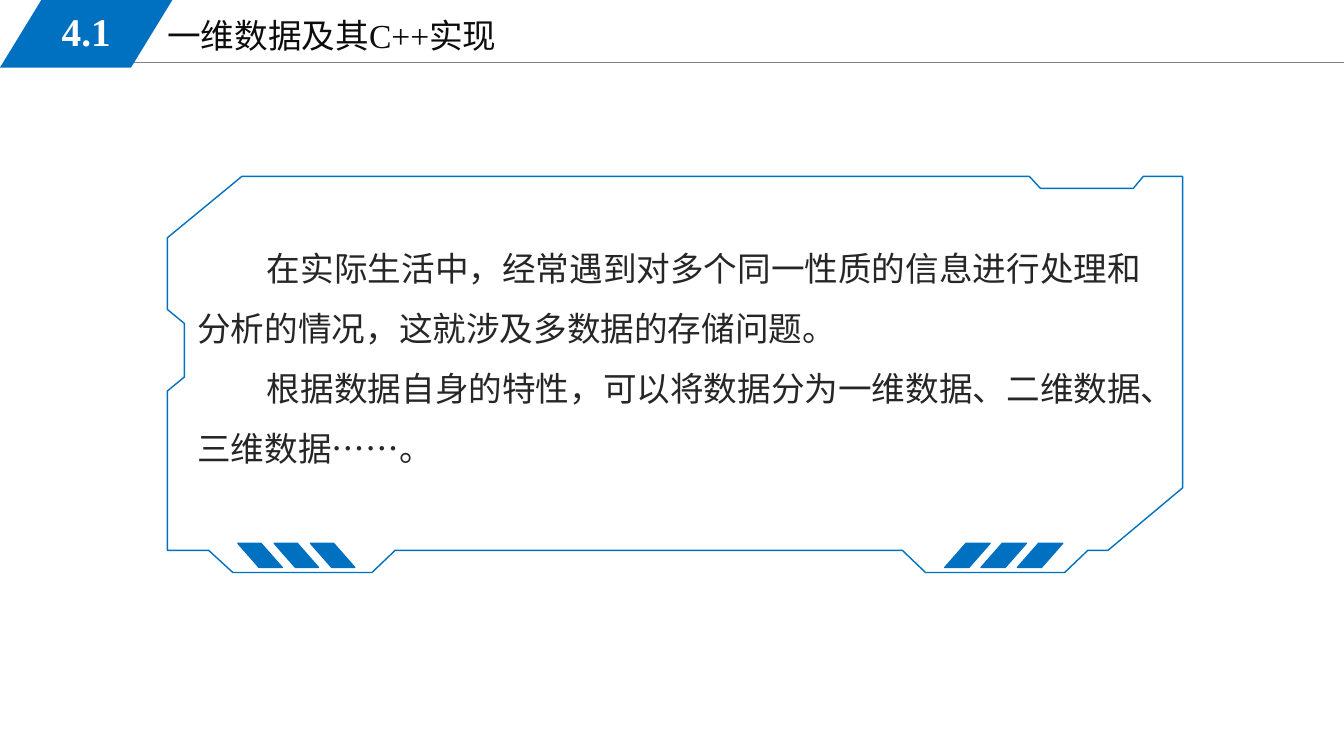
"""Build the section 4.1 slide on one-dimensional data and its C++ implementation."""
from lxml.etree import SubElement
from pptx import Presentation
from pptx.dml.color import RGBColor
from pptx.enum.shapes import MSO_CONNECTOR as CONNECTOR, MSO_SHAPE as SHAPE
from pptx.enum.text import MSO_ANCHOR as ANCHOR, MSO_AUTO_SIZE as AUTO_SIZE, PP_ALIGN as ALIGN
from pptx.oxml.ns import qn
from pptx.util import Inches, Pt

BLUE = RGBColor(0x00, 0x70, 0xC0)
GREY = RGBColor(0x80, 0x80, 0x80)
INK = RGBColor(0x0D, 0x0D, 0x0D)
BODY = RGBColor(0x26, 0x26, 0x26)
WHITE = RGBColor(0xFF, 0xFF, 0xFF)
SERIF = "Times New Roman"
SANS = "Noto Sans CJK SC"


def write(paragraph, text, size, face, color, bold=False):
    run = paragraph.add_run()
    run.text = text
    font = paragraph.font
    font.size, font.name, font.bold = Pt(size), face, bold
    font.color.rgb = color
    SubElement(run._r.get_or_add_rPr(), qn("a:ea"), typeface=SANS)


def add_slant(left, top, width, height, slant):
    shape = slide.shapes.add_shape(
        SHAPE.PARALLELOGRAM, Inches(left), Inches(top), Inches(width), Inches(height))
    shape.adjustments[0] = slant
    shape.shadow.inherit = False
    shape.fill.solid()
    shape.fill.fore_color.rgb = BLUE
    shape.line.fill.background()
    return shape


prs = Presentation()
prs.slide_width, prs.slide_height = Inches(13.33), Inches(7.5)
slide = prs.slides.add_slide(prs.slide_layouts[5])

rule = slide.shapes.add_connector(
    CONNECTOR.STRAIGHT, Inches(1.13), Inches(0.62), Inches(13.33), Inches(0.62))
rule.line.color.rgb = GREY
rule.line.width = Pt(0.75)
SubElement(rule._element.spPr, qn("a:effectLst"))

title = slide.shapes.title
title.left, title.top, title.width, title.height = map(Inches, (1.56, 0.09, 5.67, 0.51))
title.text_frame.auto_size = AUTO_SIZE.NONE
title.text_frame.vertical_anchor = ANCHOR.MIDDLE
heading = title.text_frame.paragraphs[0]
heading.alignment = ALIGN.LEFT
write(heading, "一维数据及其C++实现", 24, SERIF, INK)

add_slant(0, 0, 1.71, 0.67, 0.612)
badge = slide.shapes.add_textbox(Inches(0.25), Inches(0.02), Inches(1.21), Inches(0.58))
badge.text_frame.word_wrap = True
badge.text_frame.vertical_anchor = ANCHOR.MIDDLE
number = badge.text_frame.paragraphs[0]
number.alignment = ALIGN.CENTER
write(number, "4.1", 28, SERIF, WHITE, bold=True)

intro = slide.shapes.add_textbox(Inches(1.86), Inches(2.21), Inches(9.67), Inches(3.49)).text_frame
intro.word_wrap = True
sentences = [
    "在实际生活中，经常遇到对多个同一性质的信息进行处理和分析的情况，这就涉及多数据的存储问题。",
    "根据数据自身的特性，可以将数据分为一维数据、二维数据、三维数据……。",
]
for index, sentence in enumerate(sentences):
    paragraph = intro.add_paragraph() if index else intro.paragraphs[0]
    paragraph._p.get_or_add_pPr().set("indent", str(Inches(0.69)))
    paragraph.line_spacing = Pt(43)
    write(paragraph, sentence, 24, SANS, BODY)

outline = [
    (9.18, 5.68), (10.56, 5.68), (10.79, 5.46), (10.99, 5.46), (11.73, 4.84), (11.73, 1.75),
    (11.34, 1.75), (11.24, 1.87), (10.32, 1.87), (10.21, 1.75), (2.4, 1.75), (1.66, 2.36),
    (1.66, 3.07), (1.83, 3.21), (1.83, 3.74), (1.66, 3.88), (1.66, 5.46), (2.07, 5.46),
    (2.31, 5.68), (3.69, 5.68), (3.92, 5.46), (8.95, 5.46),
]
corners = [(Inches(x), Inches(y)) for x, y in outline]
builder = slide.shapes.build_freeform(*corners[0])
builder.add_line_segments(corners[1:], close=True)
frame = builder.convert_to_shape()
frame.shadow.inherit = False
frame.fill.background()
frame.line.color.rgb = BLUE
frame.line.width = Pt(1)

for first_left, width, mirrored in [(9.37, 0.45, False), (2.36, 0.44, True)]:
    for step in range(3):
        stripe = add_slant(first_left + 0.36 * step, 5.39, width, 0.24, 0.878)
        stripe.line.color.rgb = BLUE
        stripe.line.width = Pt(1)
        if mirrored:
            stripe._element.spPr.find(qn("a:xfrm")).set("flipH", "1")

prs.save("out.pptx")
